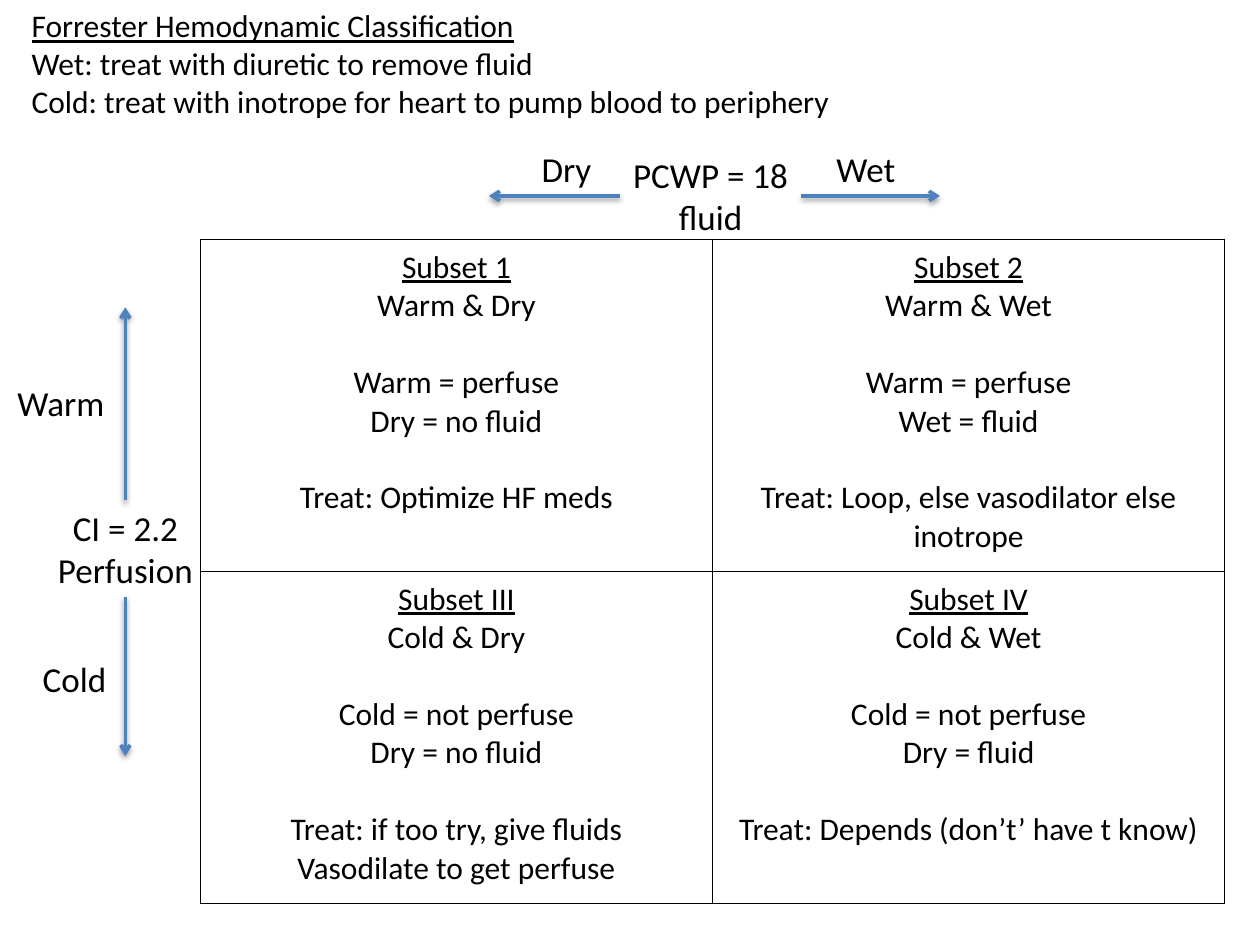
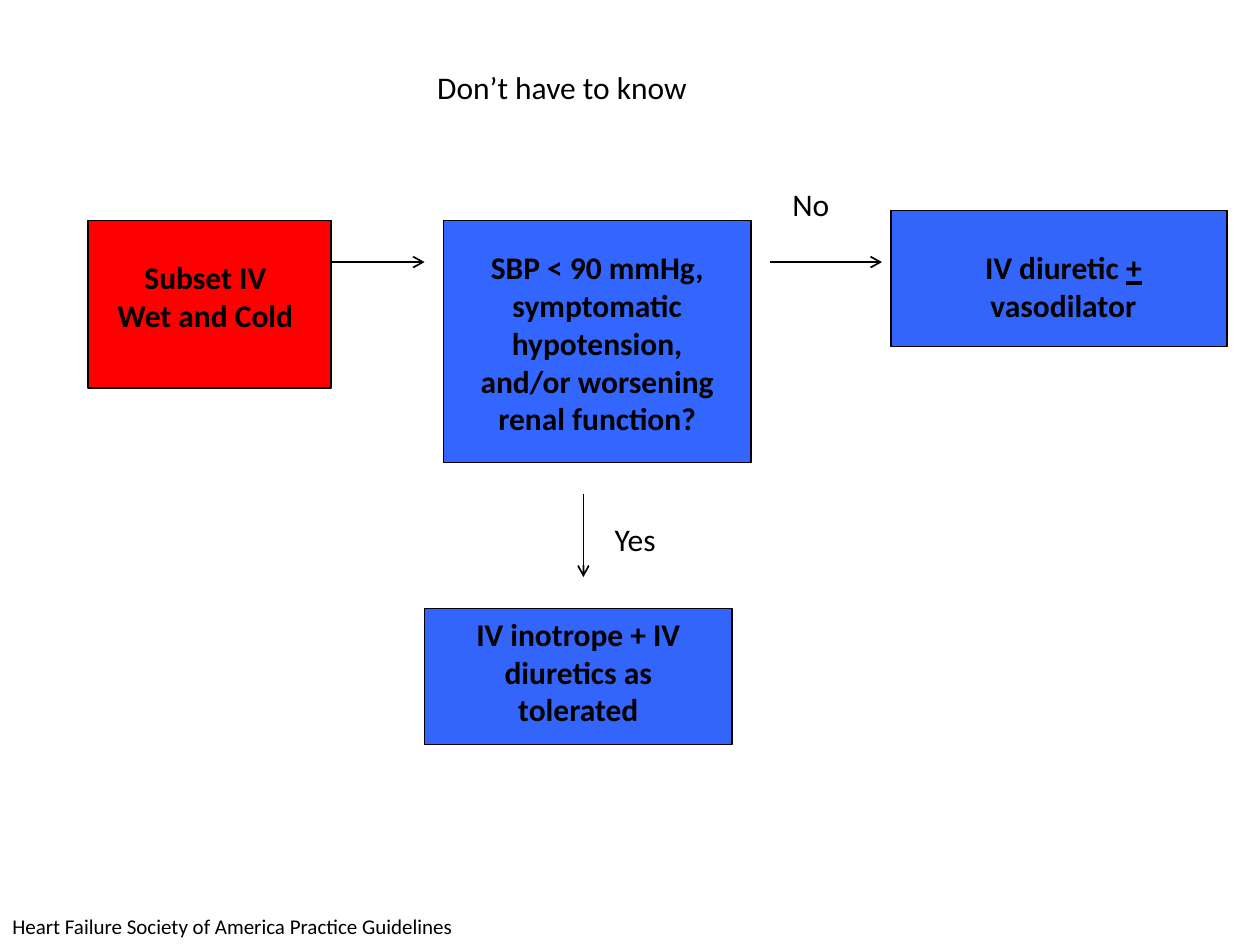
"""Build two slides on the Forrester classification of heart failure."""
from dataclasses import dataclass
from typing import Optional

from lxml import etree
from pptx import Presentation
from pptx import util as u
from pptx.dml.color import RGBColor
from pptx.enum import shapes, text
from pptx.oxml import ns

WIDTH, HEIGHT = u.Inches(10), u.Inches(7.5)
COLUMN, ROW = WIDTH / 100, HEIGHT / 75
FONT = "Calibri"
BLACK, RED, STEEL = "000000", "FF0000", "4F81BD"
BLUE, BRIGHT_BLUE = "3365FB", "3366FF"
LEFT, CENTER = text.PP_ALIGN.LEFT, text.PP_ALIGN.CENTER
TOP_SITE, LEFT_SITE, BOTTOM_SITE, RIGHT_SITE = range(4)
BLANK_LINE = u.Pt(22)
TITLE_ONLY = 5


@dataclass(frozen=True)
class Area:
    left: float
    top: float
    width: float
    height: float

    def lengths(self):
        return (round(self.left * COLUMN), round(self.top * ROW),
                round(self.width * COLUMN), round(self.height * ROW))


@dataclass(frozen=True)
class Label:
    words: str
    area: Area
    size: int = 18
    align: int = LEFT
    bold: bool = False
    wrap: bool = True


@dataclass(frozen=True)
class Arrow:
    start: tuple
    end: tuple
    color: str = BLACK
    weight: float = 1
    shadow: bool = False
    site: Optional[int] = None


@dataclass(frozen=True)
class Node:
    panel: Area
    fill: str
    label: Label


@dataclass(frozen=True)
class Axis:
    label: Label
    arms: dict


def node(panel: Area, fill: str, words: str, area: Area) -> Node:
    return Node(panel, fill, Label(words, area, align=CENTER, bold=True))


def axis_label(words: str, area: Area, align=LEFT) -> Label:
    return Label(words, area, 20, align, wrap=False)


SLIDE_TITLES = (
    Label("_Forrester Hemodynamic Classification_\n"
          "Wet: treat with diuretic to remove fluid\n"
          "Cold: treat with inotrope for heart to pump blood to periphery",
          Area(1.5, 0, 66.2, 10.1), wrap=False),
    Label("Don’t have to know", Area(33.7, 4.9, 24.1, 4), wrap=False),
)

SUBSETS_AREA = Area(15.9, 19, 81.3, 52.7)
SUBSETS = (
    ("_Subset 1_\nWarm & Dry\n\nWarm = perfuse\nDry = no fluid\n\n"
     "Treat: Optimize HF meds",
     "_Subset 2_\nWarm & Wet\n\nWarm = perfuse\nWet = fluid\n\n"
     "Treat: Loop, else vasodilator else inotrope"),
    ("_Subset III_\nCold & Dry\n\nCold = not perfuse\nDry = no fluid\n\n"
     "Treat: if too try, give fluids\nVasodilate to get perfuse",
     "_Subset IV_\nCold & Wet\n\nCold = not perfuse\nDry = fluid\n\n"
     "Treat: Depends (don’t’ have t know)"),
)

AXES = (
    Axis(axis_label("CI = 2.2\nPerfusion", Area(3.5, 39.7, 12.9, 7.7), CENTER),
         {TOP_SITE: 24.4, BOTTOM_SITE: 60}),
    Axis(axis_label("PCWP = 18\nfluid", Area(49.2, 11.7, 14.4, 7.7), CENTER),
         {RIGHT_SITE: 74.6, LEFT_SITE: 38.8}),
)
AXIS_ENDS = (
    axis_label("Warm", Area(0.4, 29.8, 9.1, 4.4)),
    axis_label("Cold", Area(2.4, 51.7, 7.1, 4.4)),
    axis_label("Wet", Area(65.4, 11.2, 6.9, 4.4)),
    axis_label("Dry", Area(42, 11.2, 6, 4.4)),
)

NODES = (
    node(Area(7, 17.5, 19.3, 13.3), RED, "Subset IV\nWet and Cold",
         Area(7.8, 20, 17, 7.1)),
    node(Area(70.7, 16.7, 26.7, 10.8), BLUE, "IV diuretic _+_ vasodilator",
         Area(72.2, 19.2, 24.4, 7.1)),
    node(Area(35.2, 17.5, 24.4, 19.2), BRIGHT_BLUE,
         "SBP < 90 mmHg, symptomatic hypotension, "
         "and/or worsening renal function?", Area(35.9, 19.2, 23, 16.2)),
    node(Area(33.7, 48.3, 24.4, 10.8), BLUE,
         "IV inotrope + IV diuretics as tolerated",
         Area(34.4, 48.3, 23, 10.1)),
)
FLOW_ARROWS = (
    Arrow((26.3, 20.8), (33.7, 20.8)),
    Arrow((61.1, 20.8), (70, 20.8)),
    Arrow((46.3, 39.2), (46.3, 45.8)),
)
FLOW_LABELS = (
    Label("No", Area(61.9, 14.2, 5.9, 4.2)),
    Label("Yes", Area(47.8, 40.8, 9.6, 4)),
    Label("Heart Failure Society of America Practice Guidelines",
          Area(0, 72, 50, 3), size=12),
)


def rgb(color: str) -> RGBColor:
    return RGBColor.from_string(color)


def apply_format(target, values: dict) -> None:
    for name, value in values.items():
        setattr(target, name, value)


def write_words(frame, words: str, size: int = 18, align=LEFT, bold=False) -> None:
    """Write lines; a blank line opens a gap and underscores mark underlining."""
    frame.clear()
    first = True
    for group in words.split("\n\n"):
        for index, line in enumerate(group.split("\n")):
            paragraph = frame.paragraphs[0] if first else frame.add_paragraph()
            gap = BLANK_LINE if index == 0 and not first else 0
            apply_format(paragraph, {"alignment": align, "space_before": gap})
            first = False
            for position, piece in enumerate(line.split("_")):
                if piece:
                    run = paragraph.add_run()
                    run.text = piece
                    apply_format(run.font, {
                        "name": FONT, "size": u.Pt(size), "bold": bold,
                        "underline": position % 2 == 1})
                    run.font.color.rgb = rgb(BLACK)


def fill_label(shape, label: Label) -> None:
    apply_format(shape, dict(zip(("left", "top", "width", "height"),
                                 label.area.lengths())))
    write_words(shape.text_frame, label.words, label.size, label.align, label.bold)
    apply_format(shape.text_frame, {
        "word_wrap": label.wrap, "vertical_anchor": text.MSO_ANCHOR.TOP,
        "auto_size": text.MSO_AUTO_SIZE.SHAPE_TO_FIT_TEXT})


def draw_label(slide, label: Label):
    shape = slide.shapes.add_textbox(*label.area.lengths())
    fill_label(shape, label)
    return shape


def draw_node(slide, item: Node) -> None:
    shape = slide.shapes.add_shape(shapes.MSO_SHAPE.RECTANGLE, *item.panel.lengths())
    shape.shadow.inherit = False
    shape.fill.solid()
    shape.fill.fore_color.rgb = rgb(item.fill)
    shape.line.color.rgb = rgb(BLACK)
    shape.line.width = u.Pt(1)
    draw_label(slide, item.label)


def add_child(parent, tag: str, **attributes: str):
    return etree.SubElement(parent, ns.qn(tag), attributes)


def draw_arrow(slide, arrow: Arrow, source=None) -> None:
    points = [round(value * unit) for point in (arrow.start, arrow.end)
              for value, unit in zip(point, (COLUMN, ROW))]
    connector = slide.shapes.add_connector(shapes.MSO_CONNECTOR.STRAIGHT, *points)
    if source is not None:
        connector.begin_connect(source, arrow.site)
    connector.line.color.rgb = rgb(arrow.color)
    connector.line.width = u.Pt(arrow.weight)
    properties = connector.line._get_or_add_ln()
    add_child(properties, "a:tailEnd", type="arrow")
    effects = add_child(properties.getparent(), "a:effectLst")
    if arrow.shadow:
        shadow = add_child(effects, "a:outerShdw", blurRad=str(u.Pt(3.1)),
                           dist=str(u.Pt(1.6)), dir="5400000", rotWithShape="0")
        color = add_child(shadow, "a:srgbClr", val=BLACK)
        add_child(color, "a:alpha", val="38000")


def draw_axis(slide, axis: Axis) -> None:
    shape = draw_label(slide, axis.label)
    area = axis.label.area
    across, down = area.left + area.width / 2, area.top + area.height / 2
    starts = {TOP_SITE: (across, area.top), LEFT_SITE: (area.left, down),
              BOTTOM_SITE: (across, area.top + area.height),
              RIGHT_SITE: (area.left + area.width, down)}
    for site, reach in axis.arms.items():
        vertical = site in (TOP_SITE, BOTTOM_SITE)
        end = (across, reach) if vertical else (reach, down)
        draw_arrow(slide, Arrow(starts[site], end, STEEL, 2, True, site), shape)


def border_cell(cell) -> None:
    properties = cell._tc.get_or_add_tcPr()
    for index, side in enumerate(("a:lnL", "a:lnR", "a:lnT", "a:lnB")):
        line = etree.Element(ns.qn(side), w=str(u.Pt(1)))
        add_child(add_child(line, "a:solidFill"), "a:srgbClr", val=BLACK)
        properties.insert(index, line)


def draw_subsets(slide) -> None:
    frame = slide.shapes.add_table(len(SUBSETS), len(SUBSETS[0]),
                                   *SUBSETS_AREA.lengths())
    table = frame.table
    apply_format(table, {"first_row": False, "horz_banding": False})
    for cell, words in zip(table.iter_cells(), sum(SUBSETS, ())):
        apply_format(cell, {
            "margin_left": u.Inches(0.13), "margin_right": u.Inches(0.13),
            "margin_top": u.Inches(0.07), "margin_bottom": u.Inches(0.07)})
        write_words(cell.text_frame, words, align=CENTER)
        cell.fill.background()
        border_cell(cell)


def add_titled_slide(presentation, title: Label):
    slide = presentation.slides.add_slide(presentation.slide_layouts[TITLE_ONLY])
    fill_label(slide.shapes.title, title)
    return slide


def build_classification(presentation) -> None:
    slide = add_titled_slide(presentation, SLIDE_TITLES[0])
    draw_subsets(slide)
    for axis in AXES:
        draw_axis(slide, axis)
    for label in AXIS_ENDS:
        draw_label(slide, label)


def build_flow(presentation) -> None:
    slide = add_titled_slide(presentation, SLIDE_TITLES[1])
    for item in NODES:
        draw_node(slide, item)
    for arrow in FLOW_ARROWS:
        draw_arrow(slide, arrow)
    for label in FLOW_LABELS:
        draw_label(slide, label)


def main() -> None:
    presentation = Presentation()
    apply_format(presentation, {"slide_width": WIDTH, "slide_height": HEIGHT})
    build_classification(presentation)
    build_flow(presentation)
    presentation.save("out.pptx")


if __name__ == "__main__":
    main()
